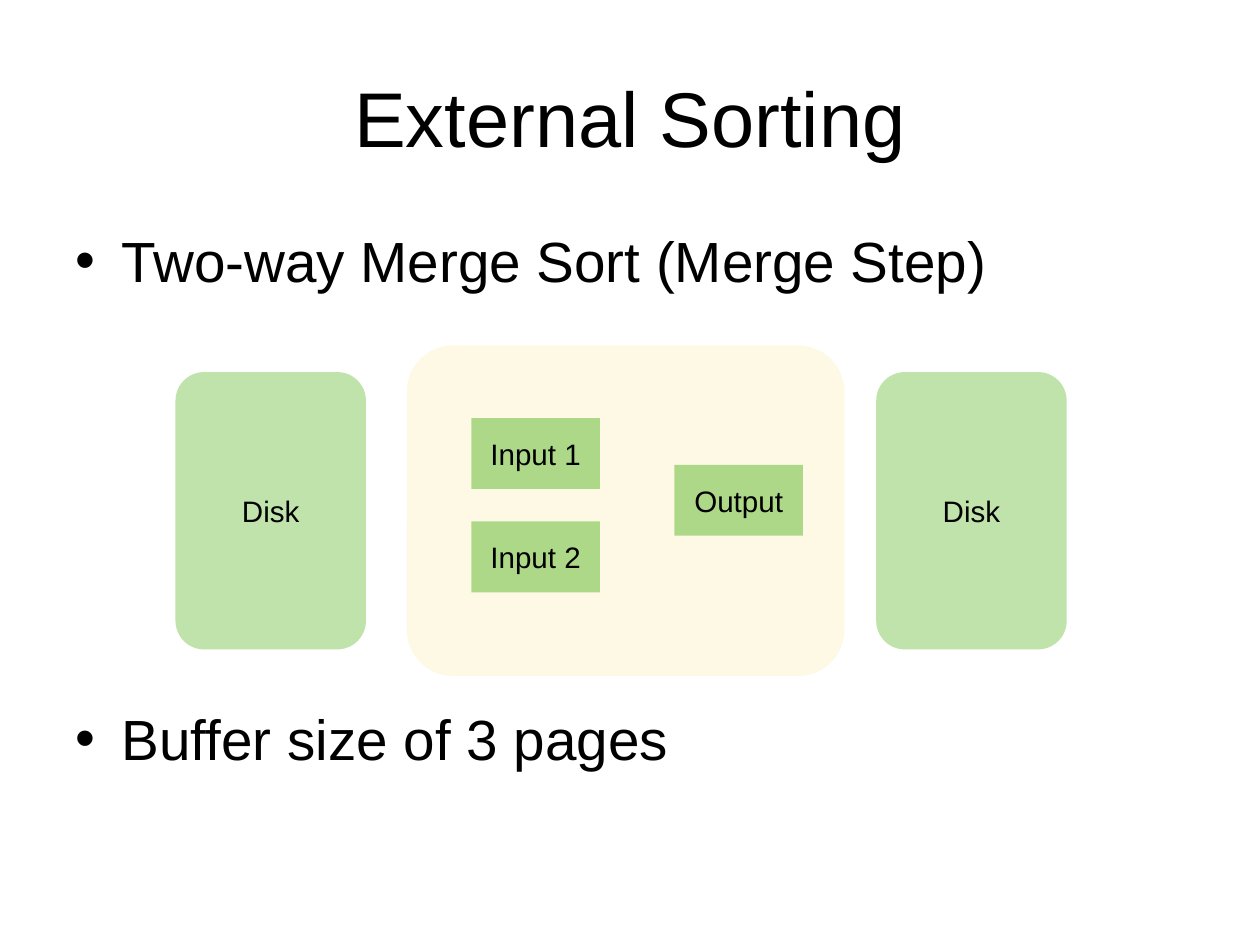
from dataclasses import dataclass

from lxml.etree import SubElement
from pptx import Presentation
from pptx.dml.color import RGBColor
from pptx.enum.shapes import MSO_SHAPE as Shape
from pptx.enum.text import MSO_ANCHOR as Anchor, MSO_AUTO_SIZE as AutoSize, PP_ALIGN as Align
from pptx.oxml.ns import qn
from pptx.util import Pt


@dataclass(frozen=True)
class Theme:
    font: str = "Arial"
    ink: str = "000000"
    green: str = "70BF41"
    yellow: str = "F5D328"
    disk_opacity: int = 44
    memory_opacity: int = 12
    page_opacity: int = 56
    title_size: int = 63
    bullet_size: int = 46
    label_size: int = 24


THEME = Theme()


@dataclass(frozen=True)
class Box:
    left: float
    top: float
    width: float
    height: float

    def inner(self, left, top, width, height):
        return Box(self.left + left, self.top + top, width, height)

    def lengths(self):
        return [Pt(n) for n in (self.left, self.top, self.width, self.height)]


def apply(target, formats):
    for name, value in formats.items():
        setattr(target, name, value)


def write(paragraph, words, size, align):
    paragraph.alignment = align
    run = paragraph.add_run()
    run.text = words
    apply(run.font, {"name": THEME.font, "size": Pt(size)})
    run.font.color.rgb = RGBColor.from_string(THEME.ink)


def format_frame(frame, anchor, side, edge, wrap=True):
    apply(frame, {
        "word_wrap": wrap, "auto_size": AutoSize.NONE, "vertical_anchor": anchor,
        "margin_left": Pt(side), "margin_right": Pt(side),
        "margin_top": Pt(edge), "margin_bottom": Pt(edge),
    })


def add_title(slide, box, words):
    title = slide.shapes.title
    apply(title, dict(zip(("left", "top", "width", "height"), box.lengths())))
    format_frame(title.text_frame, Anchor.MIDDLE, 10, 5)
    write(title.text_frame.paragraphs[0], words, THEME.title_size, Align.CENTER)


def add_bullets(slide, box, points):
    frame = slide.shapes.add_textbox(*box.lengths()).text_frame
    format_frame(frame, Anchor.TOP, 10, 5)
    for index, (words, gap) in enumerate(points):
        point = frame.add_paragraph() if index else frame.paragraphs[0]
        write(point, words, THEME.bullet_size, Align.LEFT)
        point.space_before = Pt(gap)
        layout = point._p.get_or_add_pPr()
        layout.set("marL", str(Pt(38)))
        layout.set("indent", str(-Pt(38)))
        SubElement(layout, qn("a:buFont"), typeface=THEME.font)
        SubElement(layout, qn("a:buChar"), char="•")


def add_block(slide, box, color, opacity, corner=0, label=None):
    kind = Shape.ROUNDED_RECTANGLE if corner else Shape.RECTANGLE
    block = slide.shapes.add_shape(kind, *box.lengths())
    block.shadow.inherit = False
    block.line.fill.background()
    block.fill.solid()
    block.fill.fore_color.rgb = RGBColor.from_string(color)
    tint = block.fill._xPr.find(qn("a:solidFill"))[0]
    SubElement(tint, qn("a:alpha"), val=str(opacity * 1000))
    if corner:
        block.adjustments[0] = corner
    if label:
        format_frame(block.text_frame, Anchor.MIDDLE, 4, 4, wrap=False)
        write(block.text_frame.paragraphs[0], label, THEME.label_size, Align.CENTER)


def add_disk(slide, box):
    add_block(slide, box, THEME.green, THEME.disk_opacity, 0.15, "Disk")


def add_memory(slide, box):
    add_block(slide, box, THEME.yellow, THEME.memory_opacity, 0.14)
    pages = (("Input 1", 52.5, 59), ("Input 2", 52.5, 143), ("Output", 217.5, 97))
    for label, left, top in pages:
        add_block(slide, box.inner(left, top, 104.4, 57.6),
                  THEME.green, THEME.page_opacity, label=label)


def add_merge_diagram(slide, box):
    disk_width, disk_height = 154.8, 225.4
    disk_top = (box.height - disk_height) / 2
    for left in (0, box.width - disk_width):
        add_disk(slide, box.inner(left, disk_top, disk_width, disk_height))
    add_memory(slide, box.inner(188, 0, 355.7, box.height))


def main():
    deck = Presentation()
    apply(deck, {"slide_width": Pt(1024), "slide_height": Pt(768)})
    slide = deck.slides.add_slide(deck.slide_layouts[5])
    add_title(slide, Box(51, 31, 922, 128), "External Sorting")
    add_bullets(slide, Box(51, 179, 922, 507), (
        ("Two-way Merge Sort (Merge Step)", 5),
        ("Buffer size of 3 pages", 333),
    ))
    add_merge_diagram(slide, Box(142.6, 280.8, 724.3, 268.6))
    deck.save("out.pptx")


if __name__ == "__main__":
    main()
